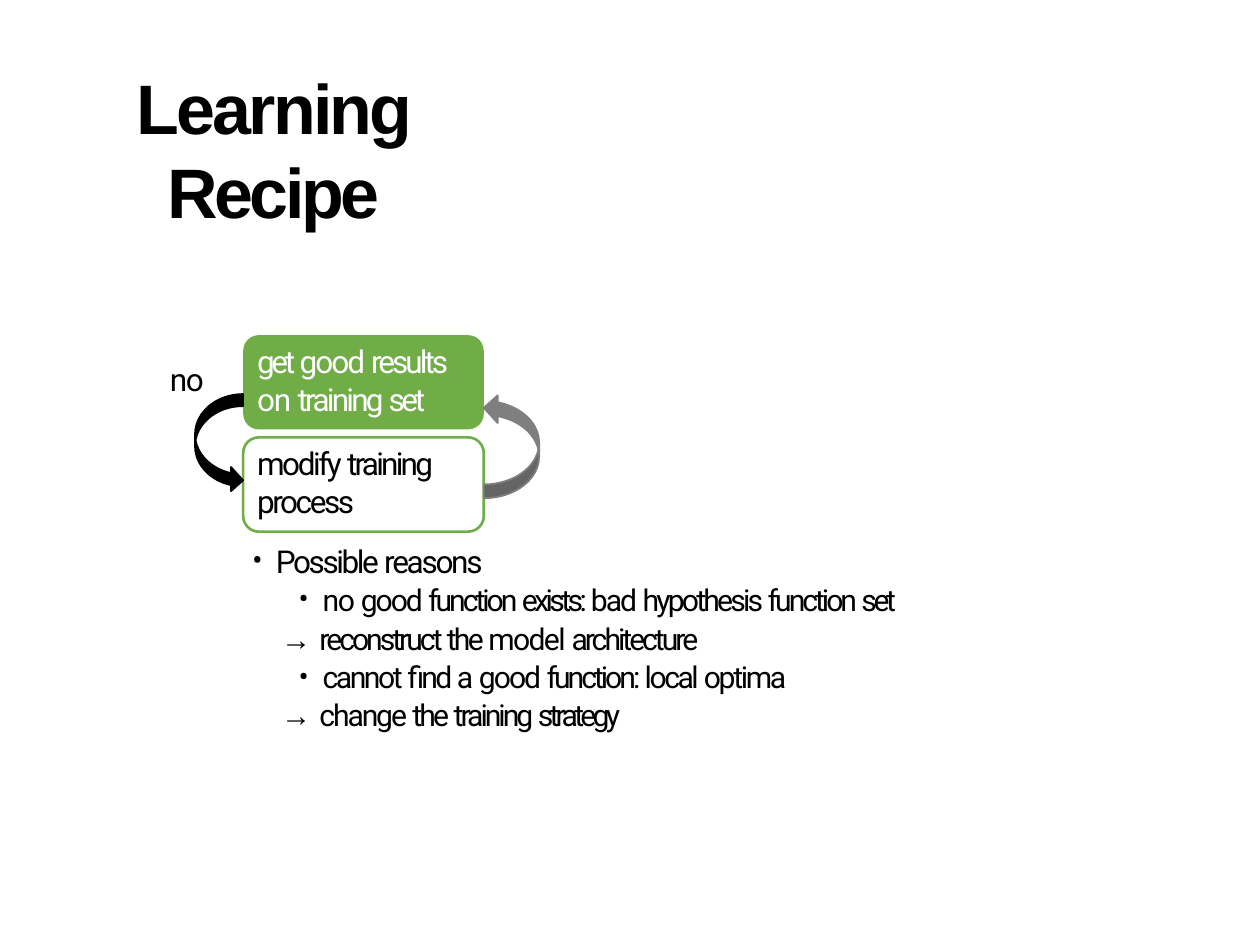
import collections
import pptx
import pptx.dml.color
import pptx.enum.shapes
import pptx.enum.text
import pptx.oxml
import pptx.oxml.ns
import pptx.util

Box = collections.namedtuple("Box", "left top width height")
SHAPE = pptx.enum.shapes.MSO_SHAPE
ANCHOR = pptx.enum.text.MSO_ANCHOR
ALIGN = pptx.enum.text.PP_ALIGN
COLORS = {"text": "000000", "light": "FFFFFF", "green": "70AD47",
          "forward": "000000", "back": "7F7F7F"}
SLIDE = Box(0, 0, 10, 7.5)
STEP_WRAP = 3.82  # right margin that keeps the step labels inside their boxes

TITLE = [("Learning ", -1.6), ("Recipe", -1.9)]
# Each line of text is a list of (words, letter spacing in points).
STEPS = [
    ("light", 0.6, [("get ", -1.9), ("good ", -1.1), ("results ", -1.7),
                    ("on ", -0.7), ("training ", -1.6), ("set", -1.9)]),
    ("text", 14.8, [("modify ", -1.4), ("training ", -1.6), ("process", -1.4)]),
]
HEADING = [("Possible ", -1.4), ("reasons", -1.3)]
REASONS = [
    (0.9, [("no ", -0.8), ("good ", -1.2), ("function ", -1.7), ("exists: ", -2),
           ("bad ", -1.1), ("hypothesis ", -1.6), ("function ", -1.7), ("set", -1.9)],
     1.8, [("reconstruct ", -1.7), ("the ", -1.6), ("model ", -0.9),
           ("architecture", -1.7)]),
    (1.1, [("cannot ", -1.4), ("ﬁnd ", -1.6), ("a ", -1), ("good ", -1.1),
           ("function: ", -1.7), ("local ", -1.4), ("optima", -1.3)],
     1.1, [("change ", -1.2), ("the ", -1.6), ("training ", -1.7),
           ("strategy", -2.1)]),
]


def color(name):
    return pptx.dml.color.RGBColor.from_string(COLORS[name])


def inside(box, left, top, width, height):
    """Return a part of the box, given as shares of its width and height."""
    return Box(box.left + left * box.width, box.top + top * box.height,
               width * box.width, height * box.height)


def move(shape, box):
    shape.left, shape.top, shape.width, shape.height = map(pptx.util.Inches, box)


def set_frame(shape, anchor=ANCHOR.TOP):
    frame = shape.text_frame
    frame.word_wrap = True
    frame.auto_size = pptx.enum.text.MSO_AUTO_SIZE.NONE
    frame.vertical_anchor = anchor
    frame.margin_left = frame.margin_right = frame.margin_bottom = 0
    frame.margin_top = pptx.util.Inches(0.01)
    return frame


def add_spans(para, words, size, font="Roboto", tint="text", bold=False):
    for text, spacing in words:
        span = para.add_run()
        span.text = text
        span.font.size = pptx.util.Pt(size)
        span.font.name = font
        span.font.bold = bold
        span.font.color.rgb = color(tint)
        span.font._element.set("spc", str(round(spacing * 100)))


def format_para(para, before, margin=0, hanging=0, bullet=False,
                align=ALIGN.LEFT, lines=1.0, right=0):
    """Set spacing in points, indents in inches and the bullet."""
    para.alignment = align
    para.line_spacing = lines
    para.space_before = pptx.util.Pt(before)
    para.space_after = pptx.util.Pt(0)
    props = para._p.get_or_add_pPr()
    for name, value in (("marL", margin), ("marR", right), ("indent", -hanging)):
        props.set(name, str(pptx.util.Inches(value)))
    marks = ['<a:buNone {}/>']
    if bullet:
        marks = ['<a:buClr {}><a:srgbClr val="%s"/></a:buClr>' % COLORS["text"],
                 '<a:buFont {} typeface="Roboto"/>', '<a:buChar {} char="•"/>']
    for mark in marks:
        props.append(pptx.oxml.parse_xml(mark.format(pptx.oxml.ns.nsdecls("a"))))


def write_title(shape, box):
    move(shape, box)
    para = set_frame(shape, ANCHOR.MIDDLE).paragraphs[0]
    format_para(para, 0.8, 0.01, align=ALIGN.CENTER)
    add_spans(para, TITLE, 40, "Arial", bold=True)


def write_body(shape, box):
    move(shape, box)
    frame = set_frame(shape)
    para = frame.paragraphs[0]
    for tint, before, words in STEPS:
        format_para(para, before, 0.05, lines=1.01, right=STEP_WRAP)
        add_spans(para, words, 18, tint=tint)
        para = frame.add_paragraph()
    format_para(para, 12.6, 0.2, 0.19, bullet=True)
    add_spans(para, HEADING, 18)
    for reason_gap, reason, remedy_gap, remedy in REASONS:
        para = frame.add_paragraph()
        para.level = 1
        format_para(para, reason_gap, 0.57, 0.19, bullet=True)
        add_spans(para, reason, 17.2)
        para = frame.add_paragraph()
        format_para(para, remedy_gap, 0.24)
        add_spans(para, [("→ ", 0)], 17.2, "Arial")
        add_spans(para, remedy, 17.2)


def add_part(page, kind, box, fill=None, line=None, weight=1):
    part = page.shapes.add_shape(kind, *map(pptx.util.Inches, box))
    part.shadow.inherit = False
    if fill:
        part.fill.solid()
        part.fill.fore_color.rgb = color(fill)
    else:
        part.fill.background()
    if line:
        part.line.color.rgb = color(line)
        part.line.width = pptx.util.Pt(weight)
    else:
        part.line.fill.background()
    return part


def draw_steps(page, box):
    """Draw the two step boxes, one above the other."""
    share = 0.48
    add_part(page, SHAPE.ROUNDED_RECTANGLE, inside(box, 0, 0, 1, share), fill="green")
    add_part(page, SHAPE.ROUNDED_RECTANGLE, inside(box, 0, 1 - share, 1, share),
             line="green", weight=1.5)


def draw_loop(page, box):
    """Draw the arrows that leave and re-enter the steps, and the label."""
    add_part(page, SHAPE.CURVED_RIGHT_ARROW, inside(box, -0.2, 0.3, 0.2, 0.5),
             "forward", "forward")
    back = add_part(page, SHAPE.CURVED_LEFT_ARROW, inside(box, 1, 0.3, 0.23, 0.53),
                    "back", "back")
    back._element.spPr.xfrm.set("flipV", "1")
    label_box = inside(box, -0.31, 0.12, 0.15, 0.2)
    label = page.shapes.add_textbox(*map(pptx.util.Inches, label_box))
    para = set_frame(label).paragraphs[0]
    format_para(para, 0.8, 0.01)
    add_spans(para, [("no", -0.7)], 18)


def main():
    deck = pptx.Presentation()
    deck.slide_width = pptx.util.Inches(SLIDE.width)
    deck.slide_height = pptx.util.Inches(SLIDE.height)
    page = deck.slides.add_slide(deck.slide_layouts[1])
    title, body = page.placeholders
    steps_box = Box(1.93, 2.66, 1.91, 1.56)
    write_title(title, Box(0.7, 0.49, 2.93, 1.37))
    draw_steps(page, steps_box)
    page.shapes._spTree.append(body._element)  # text lies above the step boxes
    write_body(body, Box(1.99, 2.7, 5.53, 3.16))
    draw_loop(page, steps_box)
    deck.save("out.pptx")


if __name__ == "__main__":
    main()
